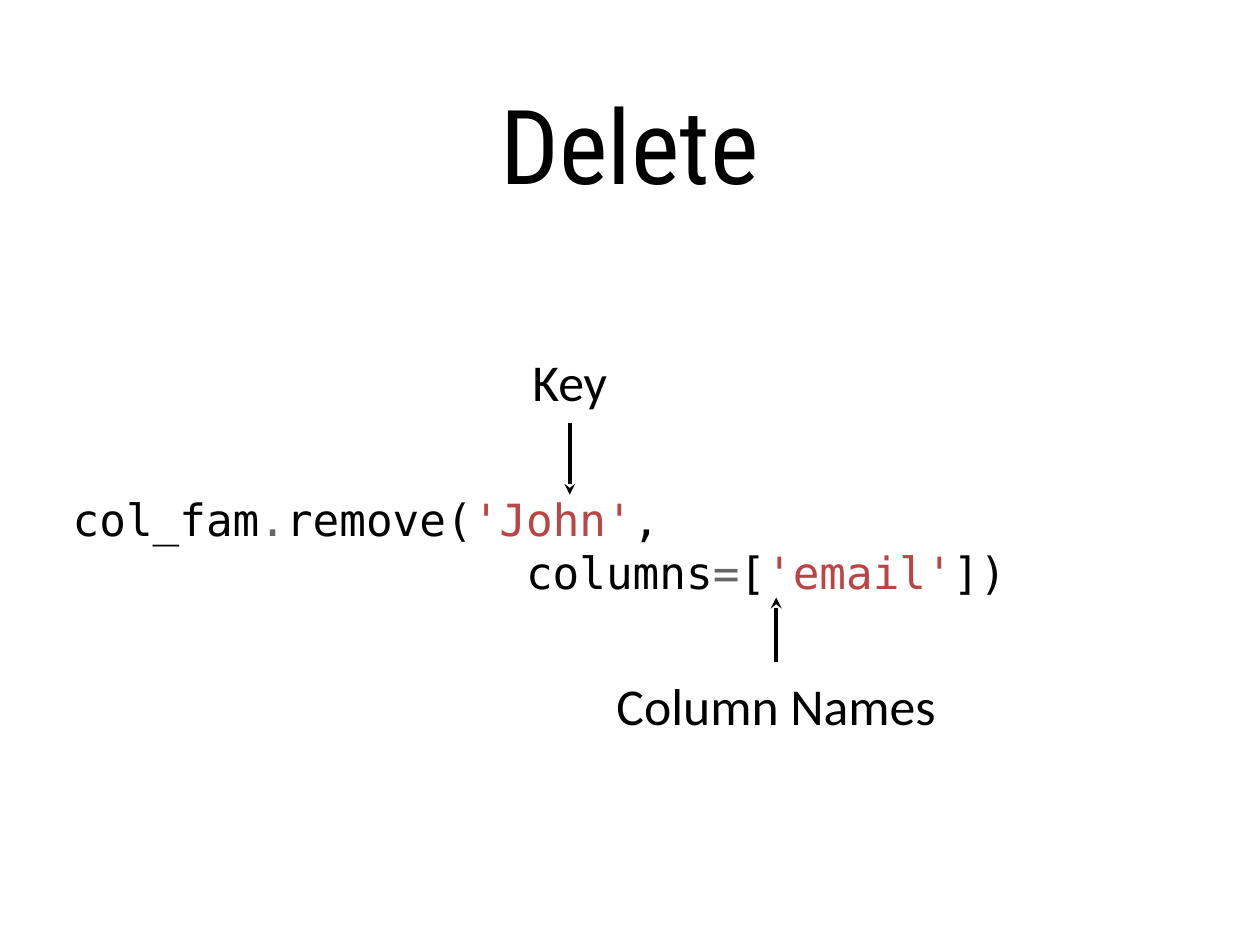
"""Build the Delete slide: a code call with its key and column names pointed out."""
from lxml.etree import SubElement
from pptx import Presentation
from pptx.dml.color import RGBColor
from pptx.enum.shapes import MSO_CONNECTOR
from pptx.enum.text import MSO_ANCHOR, PP_ALIGN
from pptx.oxml.ns import qn
from pptx.util import Inches, Pt

COLORS = {"ink": "000000", "operator": "666666", "string": "BB4444"}
CODE_FONT, CODE_SIZE = "DejaVu Sans Mono", 36
CHARACTER_WIDTH = 0.602
CODE = [
    (0, [("col_fam", "ink"), (".", "operator"), ("remove(", "ink"),
         ("'John'", "string"), (",", "ink")]),
    (17, [("columns", "ink"), ("=", "operator"), ("[", "ink"),
          ("'email'", "string"), ("])", "ink")]),
]

# Places are percentages of the slide's width and height.
TITLE_AREA = (9.77, 2.63, 80.45, 25.05)
CODE_AREA = (5.77, 28.42, 87.9, 58.63)
LABEL_HEIGHT = 6.57
LABELS = [
    {"text": "Key", "center": 45.22, "top": 37.05, "width": 6.96, "arrow": (44.75, 52.35)},
    {"text": "Column Names", "center": 61.6, "top": 71.29, "width": 29.68, "arrow": (70.08, 63.23)},
]

deck = Presentation()
deck.slide_width, deck.slide_height = Inches(14.22), Inches(10.66)
page = deck.slides.add_slide(deck.slide_layouts[6])


def across(share):
    return round(deck.slide_width * share / 100)


def down(share):
    return round(deck.slide_height * share / 100)


def add_text(lines, area, font, size, align=PP_ALIGN.CENTER, wrap=True):
    left, top, width, height = area
    box = page.shapes.add_textbox(across(left), down(top), across(width), down(height))
    frame = box.text_frame
    frame.word_wrap = wrap
    frame.vertical_anchor = MSO_ANCHOR.MIDDLE
    frame.margin_left = frame.margin_right = frame.margin_top = frame.margin_bottom = 0
    for number, (indent, spans) in enumerate(lines):
        para = frame.add_paragraph() if number else frame.paragraphs[0]
        para.alignment = align
        if indent:
            margin = Pt(indent * CHARACTER_WIDTH * size)
            para._p.get_or_add_pPr().set("marL", str(margin))
        for text, color in spans:
            span = para.add_run()
            span.text = text
            span.font.name = font
            span.font.size = Pt(size)
            span.font.color.rgb = RGBColor.from_string(COLORS[color])


def add_arrow(center, start, tip):
    arrow = page.shapes.add_connector(
        MSO_CONNECTOR.STRAIGHT, across(center), down(start), across(center), down(tip))
    arrow.line.width = Pt(3)
    arrow.line.color.rgb = RGBColor.from_string(COLORS["ink"])
    SubElement(arrow.line._get_or_add_ln(), qn("a:tailEnd"), type="stealth")
    SubElement(arrow._element.spPr, qn("a:effectLst"))


add_text([(0, [("Delete", "ink")])], TITLE_AREA, "Roboto Condensed", 84)
add_text(CODE, CODE_AREA, CODE_FONT, CODE_SIZE, align=PP_ALIGN.LEFT)
for label in LABELS:
    area = (label["center"] - label["width"] / 2, label["top"], label["width"], LABEL_HEIGHT)
    add_text([(0, [(label["text"], "ink")])], area, "Calibri", 42, wrap=False)
    add_arrow(label["center"], *label["arrow"])

deck.save("out.pptx")
